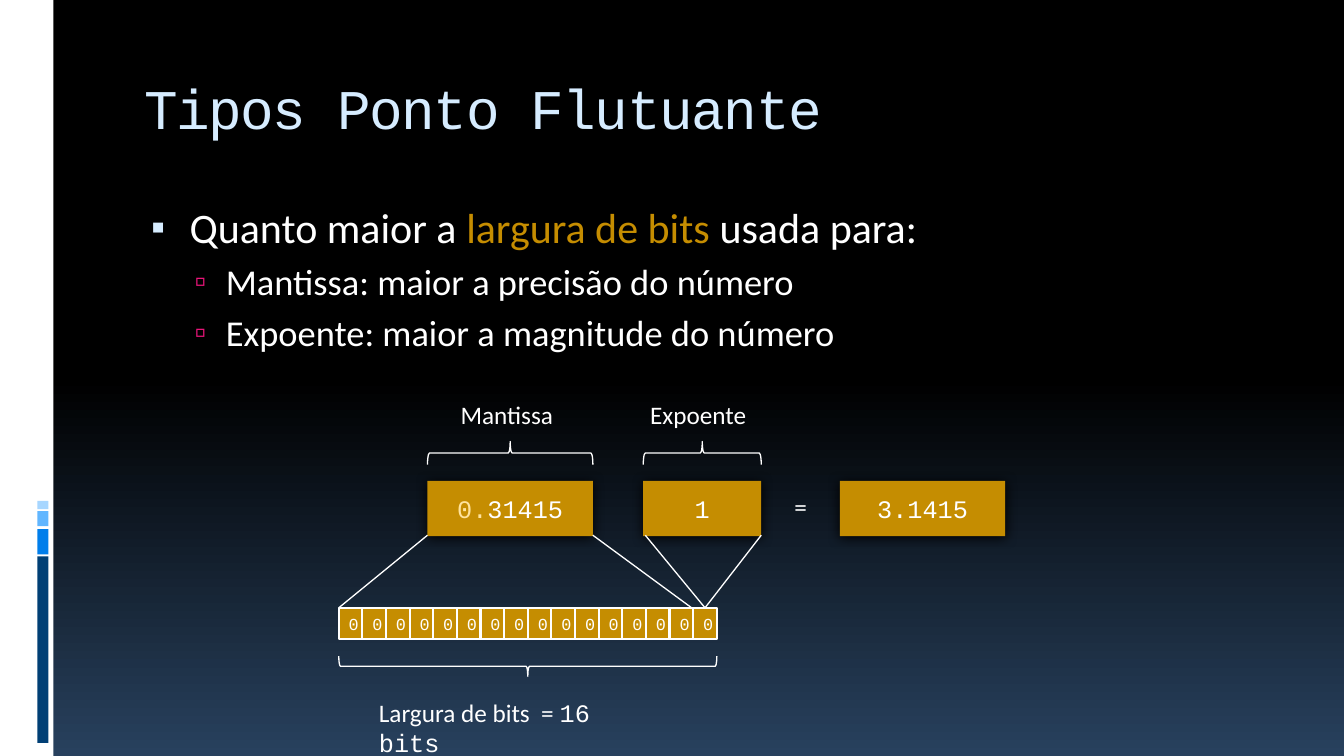
from lxml import etree
from pptx import Presentation
from pptx.dml.color import RGBColor
from pptx.enum.shapes import MSO_CONNECTOR, MSO_SHAPE
from pptx.enum.text import MSO_ANCHOR, MSO_AUTO_SIZE, PP_ALIGN
from pptx.oxml import parse_xml
from pptx.oxml.ns import nsdecls, qn
from pptx.util import Inches, Pt

RECT, BRACE = MSO_SHAPE.RECTANGLE, MSO_SHAPE.LEFT_BRACE
LINE = MSO_CONNECTOR.STRAIGHT
MIDDLE, TOP = MSO_ANCHOR.MIDDLE, MSO_ANCHOR.TOP
LEFT, CENTER = PP_ALIGN.LEFT, PP_ALIGN.CENTER
NO_FIT = MSO_AUTO_SIZE.NONE

BLACK = RGBColor(0x00, 0x00, 0x00)
WHITE = RGBColor(0xFF, 0xFF, 0xFF)
NIGHT = RGBColor(0x28, 0x41, 0x5E)
ICE = RGBColor(0xD6, 0xEC, 0xFF)
GOLD = RGBColor(0xC5, 0x8D, 0x01)
CREAM = RGBColor(0xFF, 0xE3, 0x9D)
PINK = RGBColor(0xEA, 0x15, 0x7A)
BAR_BLUES = [RGBColor(0x00, 0x3F, 0x75), RGBColor(0x00, 0x7E, 0xEB),
             RGBColor(0x61, 0xB6, 0xFF), RGBColor(0xA7, 0xD6, 0xFF)]

SANS, MONO = "Calibri", "Courier New"
THIN = Pt(0.94)
SHADOW = (f'<a:effectLst {nsdecls("a")}><a:outerShdw blurRad="{Pt(8.5)}" dist="{Pt(1)}" '
          'dir="5400000" rotWithShape="0"><a:srgbClr val="000000"/></a:outerShdw></a:effectLst>')


def add_run(p, text, size, font=SANS, color=WHITE):
    r = p.add_run()
    r.text = text
    r.font.size, r.font.name = Pt(size), font
    r.font.color.rgb = color
    return r


def add_rect(s, x, y, w, h, fill):
    sp = s.shapes.add_shape(RECT, Inches(x), Inches(y), Inches(w), Inches(h))
    sp.shadow.inherit = False
    sp.fill.solid()
    sp.fill.fore_color.rgb = fill
    sp.line.fill.background()
    return sp


def center_text(sp):
    sp.text_frame.vertical_anchor = MIDDLE
    p = sp.text_frame.paragraphs[0]
    p.alignment = CENTER
    return p


def add_label(s, x, y, w, runs, wrap=False):
    sp = s.shapes.add_textbox(Inches(x), Inches(y), Inches(w), Inches(0.4))
    sp.text_frame.word_wrap = wrap
    for text, font in runs:
        add_run(sp.text_frame.paragraphs[0], text, 18, font)


def add_brace(s, x, y, w, h, rotation):
    """Brace lying across the box x, y, w, h; 90 points up, 270 down."""
    sp = s.shapes.add_shape(BRACE, Inches(x + (w - h) / 2), Inches(y - (w - h) / 2),
                            Inches(h), Inches(w))
    sp.rotation = rotation
    sp.shadow.inherit = False
    sp.fill.background()
    sp.line.color.rgb = WHITE
    sp.line.width = THIN


def add_line(s, x1, y1, x2, y2):
    c = s.shapes.add_connector(LINE, Inches(x1), Inches(y1), Inches(x2), Inches(y2))
    c.line.color.rgb = WHITE
    c.line.width = THIN
    etree.SubElement(c._element.spPr, qn("a:effectLst"))
    return c


def set_bullet(p, char, color, percent, margin, hanging):
    pPr = p._p.get_or_add_pPr()
    pPr.set("marL", str(Inches(margin)))
    pPr.set("indent", str(-Inches(hanging)))
    for xml in (f'<a:buClr {nsdecls("a")}><a:srgbClr val="{color}"/></a:buClr>',
                f'<a:buSzPct {nsdecls("a")} val="{percent * 1000}"/>',
                f'<a:buChar {nsdecls("a")} char="{char}"/>'):
        pPr.append(parse_xml(xml))


def place(sp, x, y, w, h, anchor):
    sp.left, sp.top, sp.width, sp.height = (Inches(v) for v in (x, y, w, h))
    tf = sp.text_frame
    tf.word_wrap, tf.auto_size, tf.vertical_anchor = True, NO_FIT, anchor
    tf.paragraphs[0].alignment = LEFT
    return tf


def build_backdrop(s):
    fill = s.background.fill
    fill.gradient()
    fill.gradient_angle = 270
    for stop, position, color in zip(fill.gradient_stops, (0.5, 1), (BLACK, NIGHT)):
        stop.position = position
        stop.color.rgb = color
    # Side strip with its blue bars
    add_rect(s, 0, 0, 0.53, 7.5, WHITE)
    bars = [(5.52, 1.85), (5.25, 0.25), (5.07, 0.15), (4.97, 0.08)]
    for (y, h), color in zip(bars, BAR_BLUES):
        add_rect(s, 0.37, y, 0.11, h, color)


def build_title(s, x, y, w, h):
    p = place(s.shapes.title, x, y, w, h, MIDDLE).paragraphs[0]
    r = add_run(p, "Tipos Ponto Flutuante", 40, MONO, ICE)
    r.font._element.set("spc", "-100")


def build_body(s, x, y, w, h):
    tf = place(s.placeholders[1], x, y, w, h, TOP)
    p = tf.paragraphs[0]
    set_bullet(p, "▪", ICE, 95, 0.45, 0.38)
    p.space_before = Pt(0)
    add_run(p, "Quanto maior a ", 30)
    add_run(p, "largura de bits", 30, color=GOLD)
    add_run(p, " usada para:", 30)
    for text in ("Mantissa: maior a precisão do número",
                 "Expoente: maior a magnitude do número"):
        p = tf.add_paragraph()
        p.level = 1
        set_bullet(p, "▫", PINK, 90, 0.81, 0.31)
        p.space_before = Pt(5.2)
        add_run(p, text, 26)


def build_numbers(s, x, y):
    """Mantissa, exponent and result boxes, with the braces above them."""
    boxes = [(0, 1.64, [("0.", CREAM), ("31415", WHITE)]),
             (2.14, 1.17, [("1", WHITE)]),
             (4.09, 1.64, [("3.1415", WHITE)])]
    for dx, w, runs in boxes:
        sp = add_rect(s, x + dx, y, w, 0.55, GOLD)
        sp._element.spPr.replace(sp._element.spPr.find(qn("a:effectLst")), parse_xml(SHADOW))
        p = center_text(sp)
        for text, color in runs:
            add_run(p, text, 18, MONO, color)
    add_label(s, x + 3.54, y + 0.06, 0.33, [("=", SANS)])
    for (dx, w, _), text, label_dx, label_w in zip(
            boxes, ("Mantissa", "Expoente"), (0.23, 2.11), (1.14, 1.2)):
        add_brace(s, x + dx, y - 0.39, w, 0.23, 90)
        add_label(s, x + label_dx, y - 0.86, label_w, [(text, SANS)])


def build_bits(s, x, y, w, h, count):
    """Row of bit cells with its width marked below; returns the last cell."""
    step = w / count
    for i in range(count):
        cell = add_rect(s, x + i * step, y, step, h, GOLD)
        cell.line.color.rgb = WHITE
        cell.line.width = Pt(1.5)
        add_run(center_text(cell), "0", 12, MONO)
    add_brace(s, x, y + 0.48, w, 0.2, 270)
    add_label(s, x + 0.3, y + 0.84, 3.01,
              [("Largura de bits  = ", SANS), (f"{count} bits", MONO)], wrap=True)
    return cell


def build_links(s, top, bottom, last_cell):
    add_line(s, 4.24, top, 3.36, bottom)
    add_line(s, 5.88, top, 6.86, bottom)
    for x in (6.4, 7.55):
        add_line(s, x, top, 6.99, bottom).end_connect(last_cell, 0)


def main():
    prs = Presentation()
    prs.slide_width, prs.slide_height = Inches(13.33), Inches(7.5)
    s = prs.slides.add_slide(prs.slide_layouts[1])
    build_backdrop(s)
    build_title(s, 1.33, 0.56, 11.33, 1)
    build_body(s, 1.33, 1.95, 11.33, 5)
    build_numbers(s, 4.24, 4.77)
    last_cell = build_bits(s, 3.36, 6.03, 3.75, 0.31, 16)
    build_links(s, 5.31, 6.03, last_cell)
    prs.save("out.pptx")


if __name__ == "__main__":
    main()
